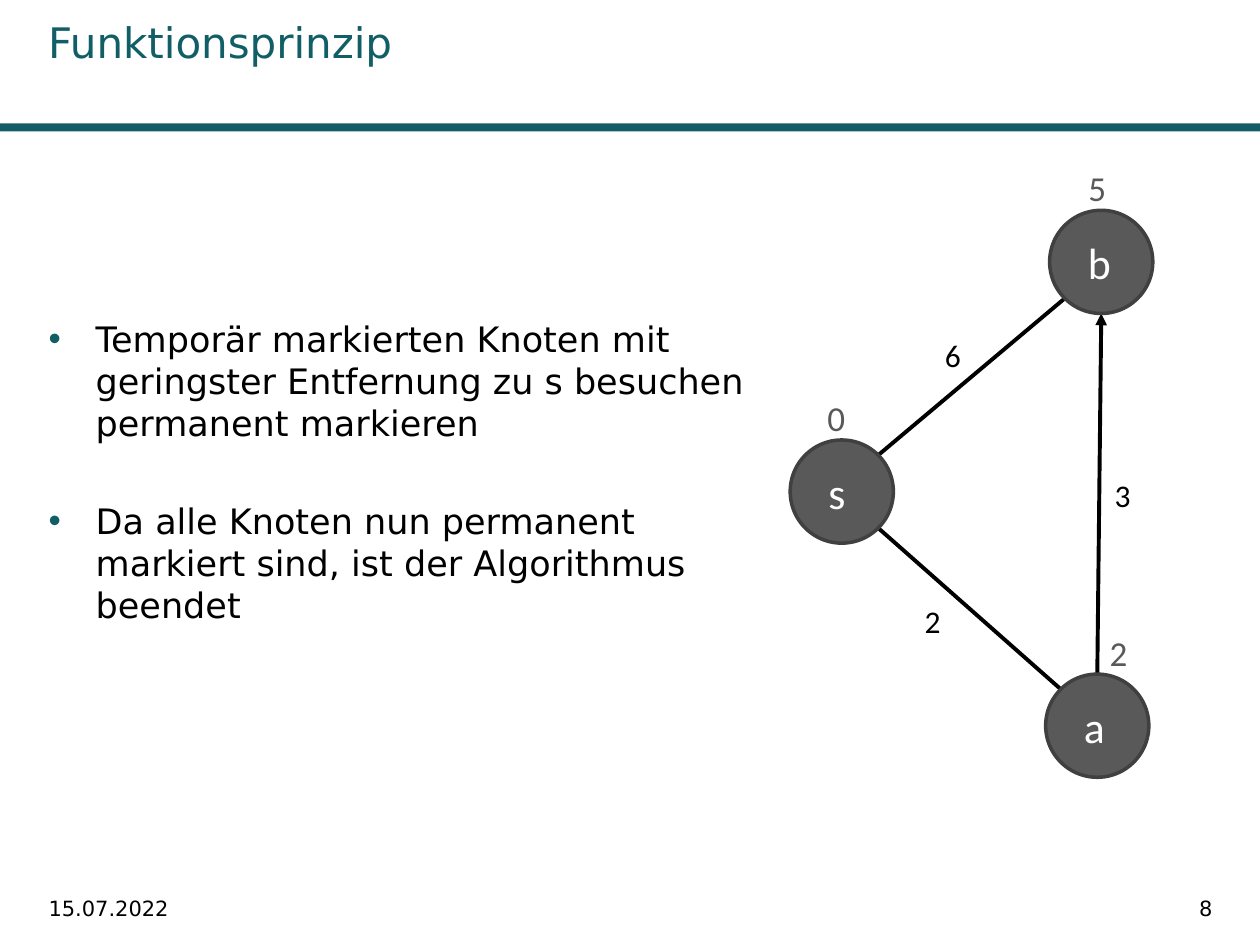
import dataclasses
import math

import pptx
import pptx.dml.color
import pptx.enum.shapes
import pptx.enum.text
import pptx.oxml
import pptx.oxml.ns
import pptx.util
from pptx.util import Cm, Pt


@dataclasses.dataclass(frozen=True)
class Theme:
    accent: str = "115E67"
    ink: str = "000000"
    paper: str = "FFFFFF"
    node: str = "595959"
    node_edge: str = "404040"
    font: str = "DejaVu Sans"
    graph_font: str = "Calibri"
    title: float = 24
    body: float = 20
    footer: float = 12
    node_name: float = 25
    distance: float = 20
    weight: float = 18


THEME = Theme()
RADIUS = 1.04
DIAGONAL = RADIUS * math.sqrt(0.5)
NODES = {"s": (16.97, 9.91), "b": (22.2, 5.28), "a": (22.12, 14.63)}
EDGES = [
    ("a", "b", (0, -RADIUS), True),
    ("s", "a", (DIAGONAL, DIAGONAL), False),
    ("s", "b", (DIAGONAL, -DIAGONAL), False),
]
WEIGHTS = [("6", 18.8, 6.6), ("2", 18.39, 11.96), ("3", 22.22, 9.42)]
DISTANCES = [("0", 16.43, 7.8), ("5", 21.69, 3.18), ("2", 22.12, 12.55)]
BULLETS = [
    "Temporär markierten Knoten mit geringster Entfernung zu s besuchen permanent markieren",
    "Da alle Knoten nun permanent markiert sind, ist der Algorithmus beendet",
]


def rgb(value):
    return pptx.dml.color.RGBColor.from_string(value)


def child(parent, tag, **attributes):
    element = pptx.oxml.ns.qn(tag)
    node = parent.makeelement(element, attributes)
    parent.append(node)
    return node


def add_text(s, text, box, size, color=THEME.ink, font=THEME.font):
    tf = s.shapes.add_textbox(*map(Cm, box)).text_frame
    tf.word_wrap = True
    tf.text = text
    for p in tf.paragraphs:
        for r in p.runs:
            r.font.name = font
            r.font.size = Pt(size)
            r.font.color.rgb = rgb(color)
    return tf


def add_bullets(s, items, box):
    tf = add_text(s, "\n".join(items), box, THEME.body)
    for i, p in enumerate(tf.paragraphs):
        p.space_before = Pt(32 if i else 4)
        pPr = p._p.get_or_add_pPr()
        pPr.set("marL", str(Cm(0.95)))
        pPr.set("indent", str(-Cm(0.95)))
        child(child(pPr, "a:buClr"), "a:srgbClr", val=THEME.accent)
        child(pPr, "a:buFont", typeface="Arial")
        child(pPr, "a:buChar", char="•")


def add_shape(s, kind, box, fill, edge=None):
    sp = s.shapes.add_shape(kind, *map(Cm, box))
    sp.shadow.inherit = False
    sp.fill.solid()
    sp.fill.fore_color.rgb = rgb(fill)
    if edge:
        sp.line.color.rgb = rgb(edge)
        sp.line.width = Pt(2)
    else:
        sp.line.fill.background()


def add_edge(s, start, end, offset, arrow):
    (x1, y1), (x2, y2) = NODES[start], NODES[end]
    dx, dy = offset
    points = (x1 + dx, y1 + dy, x2 - dx, y2 - dy)
    line = s.shapes.add_connector(
        pptx.enum.shapes.MSO_CONNECTOR.STRAIGHT, *map(Cm, points))
    line.line.color.rgb = rgb(THEME.ink)
    line.line.width = Pt(2.25)
    if arrow:
        child(line.line._get_or_add_ln(), "a:tailEnd", type="triangle")
    child(line._element.spPr, "a:effectLst")


def add_label(s, text, x, y, size, color, width=1.4, height=1.24):
    tf = add_text(s, text, (x, y, width, height), size, color, THEME.graph_font)
    p = tf.paragraphs[0]
    p.line_spacing = 1.07
    p.space_after = Pt(8)


def add_graph(s):
    for edge in EDGES:
        add_edge(s, *edge)
    for x, y in NODES.values():
        box = (x - RADIUS, y - RADIUS, 2 * RADIUS, 2 * RADIUS)
        add_shape(s, pptx.enum.shapes.MSO_SHAPE.OVAL, box, THEME.node, THEME.node_edge)
    for name, (x, y) in NODES.items():
        add_label(s, name, x - 0.52, y - 0.72, THEME.node_name, THEME.paper, 1.5, 1.42)
    for text, x, y in WEIGHTS:
        add_label(s, text, x, y, THEME.weight, THEME.ink)
    for text, x, y in DISTANCES:
        add_label(s, text, x, y, THEME.distance, THEME.node)


def main():
    prs = pptx.Presentation()
    prs.slide_width, prs.slide_height = Cm(25.4), Cm(19.05)
    s = prs.slides.add_slide(prs.slide_layouts[6])
    add_shape(s, pptx.enum.shapes.MSO_SHAPE.RECTANGLE, (0, 2.49, 25.4, 0.16), THEME.accent)
    add_bullets(s, BULLETS, (0.73, 6.27, 14.81, 7.16))
    add_text(s, "15.07.2022", (0.73, 17.93, 5.16, 0.79), THEME.footer)
    number = add_text(s, "8", (20.7, 17.93, 3.99, 0.79), THEME.footer)
    number.paragraphs[0].alignment = pptx.enum.text.PP_ALIGN.RIGHT
    add_text(s, "Funktionsprinzip", (0.72, 0.2, 15.19, 2.01), THEME.title, THEME.accent)
    add_graph(s)
    prs.save("out.pptx")


if __name__ == "__main__":
    main()
